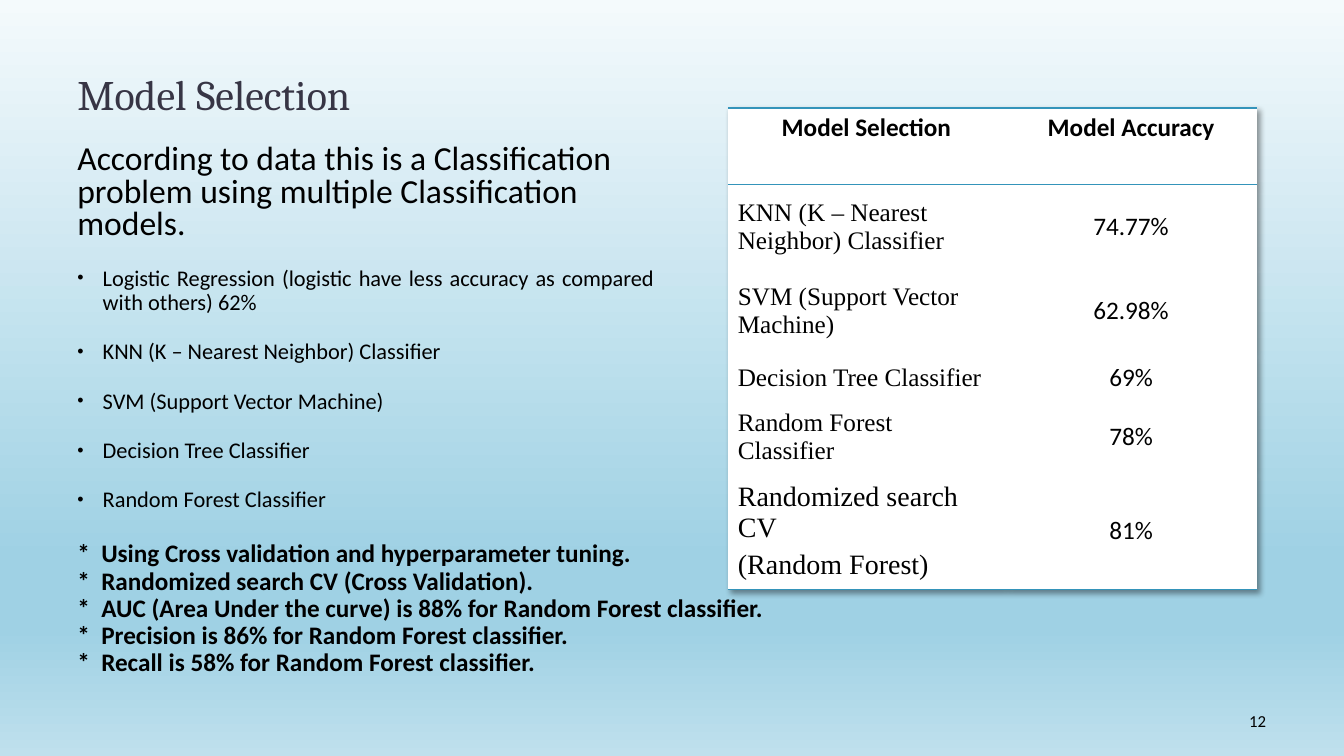
from dataclasses import dataclass

from lxml.etree import SubElement
from pptx import Presentation
from pptx.dml.color import RGBColor
from pptx.enum.text import MSO_ANCHOR, PP_ALIGN
from pptx.oxml.ns import qn
from pptx.util import Cm, Pt


@dataclass(frozen=True)
class Theme:
    """Colours, fonts and type sizes of the slide."""
    ink: str = "000000"
    heading: str = "373545"
    rule: str = "3494BA"
    paper: str = "FFFFFF"
    sky: tuple = ((0, "F4FAFC"), (74, "9FD1E4"), (83, "9FD1E4"), (100, "BFE0ED"))
    sans: str = "Calibri"
    serif: str = "Cambria"
    roman: str = "Times New Roman"
    title: int = 30
    title_gap: int = 32
    lead: int = 24
    large: int = 20
    strong: int = 18
    item: int = 16
    small: int = 12


THEME = Theme()
NO_GRID_STYLE = "{2D5ABB26-0587-4C30-8999-92F81FD0307C}"
LEAD = "According to data this is a Classification problem using multiple Classification models."
CANDIDATES = (
    "Logistic Regression (logistic have less accuracy as compared with others) 62%",
    "KNN (K – Nearest Neighbor) Classifier",
    "SVM (Support Vector Machine)",
    "Decision Tree Classifier",
    "Random Forest Classifier",
)
FINDINGS = (
    "Using Cross validation and hyperparameter tuning.",
    "Randomized search CV (Cross Validation).",
    "AUC (Area Under the curve) is 88% for Random Forest classifier.",
    "Precision is 86% for Random Forest classifier.",
    "Recall is 58% for Random Forest classifier.",
)
HEADINGS = ("Model Selection", "Model Accuracy")
SCORES = (
    (("KNN (K – Nearest Neighbor) Classifier",), "74.77%", THEME.strong),
    (("SVM (Support Vector Machine)",), "62.98%", THEME.strong),
    (("Decision Tree Classifier",), "69%", THEME.strong),
    (("Random Forest Classifier",), "78%", THEME.strong),
    (("Randomized search CV", "(Random Forest)"), "81%", THEME.large),
)
COLUMN_WIDTHS = (6.99, 6.35)
ROW_HEIGHTS = (1.93, 2.13, 2.13, 1.22, 1.22, 2.54)


def add_run(paragraph, text, size, font=THEME.sans, color=THEME.ink, bold=False):
    """Append one formatted run to a paragraph."""
    run = paragraph.add_run()
    run.text = text
    run.font.size = Pt(size)
    run.font.name = font
    run.font.bold = bold
    run.font.color.rgb = RGBColor.from_string(color)


def next_paragraph(frame, align=PP_ALIGN.LEFT, spacing=1.0, before=0):
    """Return the unused first paragraph of a frame, or a new one."""
    first = frame.paragraphs[0]
    paragraph = frame.add_paragraph() if first.runs else first
    paragraph.alignment = align
    paragraph.line_spacing = spacing
    paragraph.space_before = Pt(before)
    return paragraph


def add_text_area(slide, left, top, width, height, anchor=MSO_ANCHOR.TOP):
    """Add a wrapping text box and return its text frame."""
    frame = slide.shapes.add_textbox(Cm(left), Cm(top), Cm(width), Cm(height)).text_frame
    frame.word_wrap = True
    frame.vertical_anchor = anchor
    return frame


def set_bullet(paragraph):
    """Give a paragraph a small hanging bullet."""
    properties = paragraph._p.get_or_add_pPr()
    properties.set("marL", str(Cm(0.64)))
    properties.set("indent", str(-Cm(0.64)))
    color = SubElement(properties, qn("a:buClr"))
    SubElement(color, qn("a:srgbClr"), val=THEME.ink)
    SubElement(properties, qn("a:buSzPct"), val="80000")
    SubElement(properties, qn("a:buFont"), typeface="Arial")
    SubElement(properties, qn("a:buChar"), char="•")


def paint_background(slide):
    """Fill the background with the vertical sky gradient."""
    fill = slide.background.fill
    fill.gradient()
    fill.gradient_angle = 270
    stops = next(slide._element.iter(qn("a:gsLst")))
    for stop in list(stops):
        stops.remove(stop)
    for position, color in THEME.sky:
        stop = SubElement(stops, qn("a:gs"), pos=str(position * 1000))
        SubElement(stop, qn("a:srgbClr"), val=color)


def add_title(slide):
    """Add the slide heading."""
    frame = add_text_area(slide, 1.7, 0.53, 30.48, 2.59, MSO_ANCHOR.BOTTOM)
    heading = next_paragraph(frame, spacing=0.8)
    words = (("Model", THEME.title), (" ", THEME.title_gap), ("Selection", THEME.title))
    for text, size in words:
        add_run(heading, text, size, THEME.serif, THEME.heading)


def add_candidates(slide):
    """Add the lead sentence and the bulleted models."""
    frame = add_text_area(slide, 1.7, 3.53, 15.04, 9.8)
    add_run(next_paragraph(frame, spacing=0.8), LEAD, THEME.lead)
    for model in CANDIDATES:
        paragraph = next_paragraph(frame, PP_ALIGN.JUSTIFY, 0.9, 18)
        set_bullet(paragraph)
        add_run(paragraph, model, THEME.item)


def add_findings(slide):
    """Add the bold starred findings."""
    frame = add_text_area(slide, 1.7, 13.51, 19.23, 4.42)
    for finding in FINDINGS:
        add_run(next_paragraph(frame, spacing=0.9), f"*  {finding}", THEME.strong, bold=True)


def rule_cell(cell, edges):
    """Draw a thin rule on the given cell edges."""
    properties = cell._tc.get_or_add_tcPr()
    for index, edge in enumerate(edges):
        line = SubElement(properties, qn(f"a:{edge}"), w=str(Pt(1)))
        fill = SubElement(line, qn("a:solidFill"))
        SubElement(fill, qn("a:srgbClr"), val=THEME.rule)
        properties.remove(line)
        properties.insert(index, line)


def fill_cell(cell, lines, size, font, align, anchor=MSO_ANCHOR.MIDDLE, bold=False, edges=()):
    """Write lines into a white cell and rule its edges."""
    cell.fill.solid()
    cell.fill.fore_color.rgb = RGBColor.from_string(THEME.paper)
    cell.vertical_anchor = anchor
    for index, line in enumerate(lines):
        paragraph = next_paragraph(cell.text_frame, align, before=4 if index else 0)
        add_run(paragraph, line, size, font, bold=bold)
    rule_cell(cell, edges)


def style_table(table):
    """Replace the banded style with a plain one and a soft shadow."""
    properties = table._tbl.tblPr
    table.horz_banding = False
    for child in list(properties):
        properties.remove(child)
    effects = SubElement(properties, qn("a:effectLst"))
    shadow = SubElement(effects, qn("a:outerShdw"), blurRad=str(Pt(4)), dist=str(Pt(3)),
                        dir="2700000", algn="tl", rotWithShape="0")
    color = SubElement(shadow, qn("a:srgbClr"), val=THEME.ink)
    SubElement(color, qn("a:alpha"), val="40000")
    SubElement(properties, qn("a:tableStyleId")).text = NO_GRID_STYLE


def add_scores(slide):
    """Add the table of model accuracies."""
    table = slide.shapes.add_table(
        len(ROW_HEIGHTS), len(COLUMN_WIDTHS), Cm(18.34), Cm(2.72),
        Cm(sum(COLUMN_WIDTHS)), Cm(sum(ROW_HEIGHTS))).table
    style_table(table)
    for column, width in zip(table.columns, COLUMN_WIDTHS):
        column.width = Cm(width)
    for row, height in zip(table.rows, ROW_HEIGHTS):
        row.height = Cm(height)
    for column, heading in enumerate(HEADINGS):
        fill_cell(table.cell(0, column), (heading,), THEME.strong, THEME.sans,
                  PP_ALIGN.CENTER, MSO_ANCHOR.TOP, True, ("lnT", "lnB"))
    for row, (model, accuracy, size) in enumerate(SCORES, 1):
        edges = ("lnB",) if row == len(SCORES) else ()
        fill_cell(table.cell(row, 0), model, size, THEME.roman, PP_ALIGN.LEFT, edges=edges)
        fill_cell(table.cell(row, 1), (accuracy,), THEME.strong, THEME.sans,
                  PP_ALIGN.CENTER, edges=edges)


def add_page_number(slide):
    """Add the page number at the lower right."""
    frame = add_text_area(slide, 24.26, 17.65, 7.9, 1.02, MSO_ANCHOR.MIDDLE)
    add_run(next_paragraph(frame, PP_ALIGN.RIGHT), "12", THEME.small)


def main():
    """Build and save the slide."""
    deck = Presentation()
    deck.slide_width, deck.slide_height = Cm(33.87), Cm(19.05)
    slide = deck.slides.add_slide(deck.slide_layouts[6])
    paint_background(slide)
    add_title(slide)
    add_candidates(slide)
    add_scores(slide)
    add_findings(slide)
    add_page_number(slide)
    deck.save("out.pptx")


if __name__ == "__main__":
    main()
